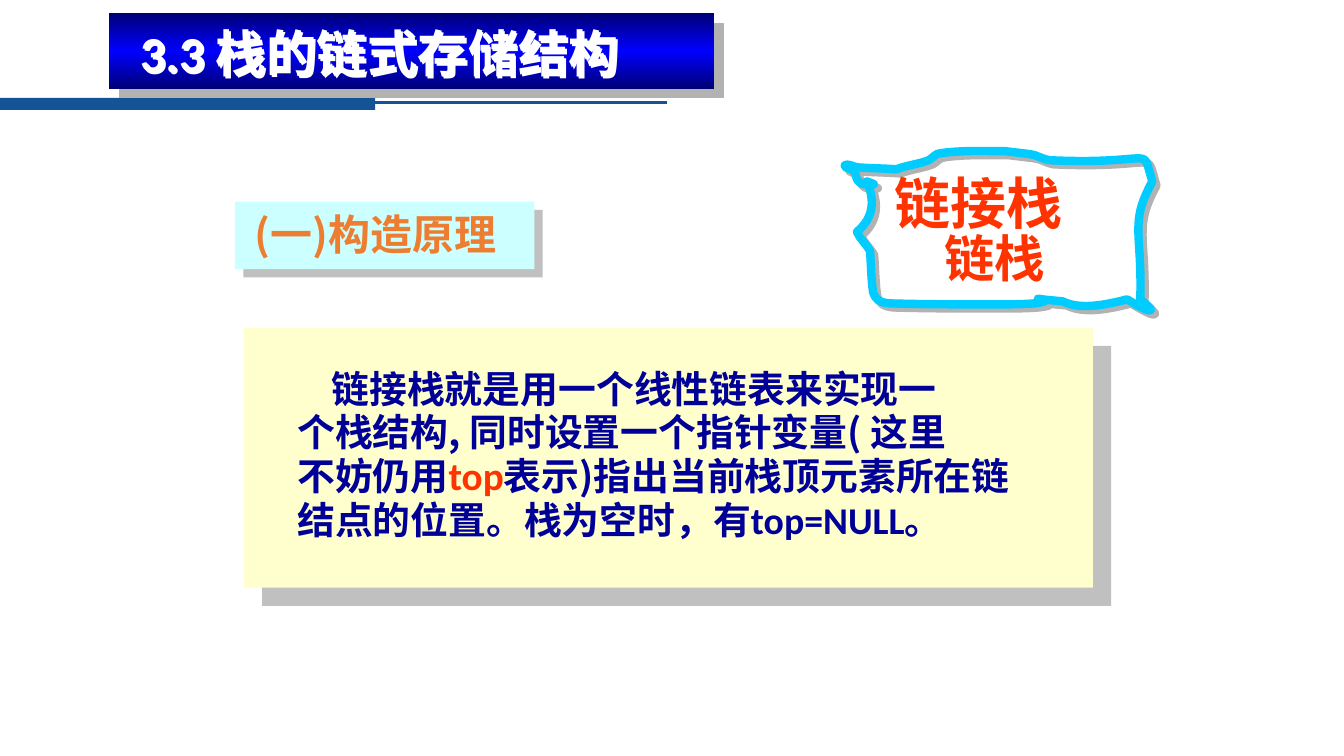
import copy
from dataclasses import dataclass

import pptx
import pptx.dml.color
import pptx.enum.shapes
import pptx.oxml
import pptx.oxml.ns
import pptx.util
from lxml import etree

Inches = pptx.util.Inches
Pt = pptx.util.Pt
qn = pptx.oxml.ns.qn


@dataclass(frozen=True)
class Theme:
    latin: str = "Calibri"
    cjk: str = "Noto Sans CJK SC"
    rule: str = "145396"
    navy: str = "000076"
    blue: str = "0000FF"
    white: str = "FFFFFF"
    aqua: str = "CCFFFF"
    cream: str = "FFFFCD"
    orange: str = "ED7D31"
    red: str = "FF3300"
    ink: str = "000099"
    cyan: str = "00CCFF"
    grey: str = "C0C0C0"
    dark_grey: str = "B2B2B2"
    body: int = 27
    keyword: int = 28
    section: int = 30
    title: int = 36
    label: int = 40


T = Theme()
SCROLL_START = (0.24, 0.38)
SCROLL_CURVES = [
    (0.31, 0.55, 0.32, 0.73, 0.14, 0.88),
    (0.17, 0.95, 0.23, 1.0, 0.27, 1.07),
    (0.28, 1.21, 0.28, 1.34, 0.3, 1.48),
    (0.32, 1.54, 0.35, 1.58, 0.46, 1.59),
    (0.81, 1.6, 1.16, 1.6, 1.51, 1.6),
    (1.64, 1.6, 1.77, 1.6, 1.9, 1.59),
    (2.24, 1.55, 1.62, 1.52, 2.18, 1.57),
    (2.36, 1.66, 2.62, 1.6, 2.82, 1.55),
    (2.85, 1.57, 3.0, 1.66, 3.04, 1.66),
    (3.08, 1.66, 3.03, 1.62, 3.01, 1.6),
    (2.99, 1.58, 2.97, 1.57, 2.95, 1.55),
    (2.97, 0.87, 2.84, 0.8, 3.07, 0.38),
    (2.95, 0, 3.14, 0.22, 2.05, 0.17),
    (1.98, 0.16, 1.93, 0.12, 1.86, 0.11),
    (1.78, 0.1, 1.61, 0.08, 1.61, 0.08),
    (1.4, 0.08, 1.18, 0.07, 0.97, 0.1),
    (0.92, 0.1, 0.89, 0.15, 0.85, 0.17),
    (0.75, 0.21, 0.63, 0.22, 0.53, 0.26),
    (0.4, 0.25, 0.27, 0.25, 0.14, 0.24),
    (0.1, 0.23, 0.04, 0.2, 0.02, 0.22),
    (0, 0.24, 0.08, 0.26, 0.11, 0.27),
    (0.14, 0.31, 0.12, 0.37, 0.18, 0.4),
    (0.21, 0.41, 0.27, 0.42, 0.3, 0.41),
    (0.33, 0.41, 0.26, 0.39, 0.24, 0.38),
]


def rgb(color):
    return pptx.dml.color.RGBColor.from_string(color)


def add_shadow(sp, color, distance):
    sp.shadow.inherit = False
    effects = sp._element.spPr.find(qn("a:effectLst"))
    shadow = etree.SubElement(effects, qn("a:outerShdw"), dist=str(Pt(distance)),
                              dir="2700000", algn="ctr", rotWithShape="0")
    etree.SubElement(shadow, qn("a:srgbClr"), val=color)


def add_box(s, x, y, w, h, fill):
    sp = s.shapes.add_shape(pptx.enum.shapes.MSO_SHAPE.RECTANGLE,
                            Inches(x), Inches(y), Inches(w), Inches(h))
    sp.fill.solid()
    sp.fill.fore_color.rgb = rgb(fill)
    sp.line.fill.background()
    sp.shadow.inherit = False
    return sp


def add_text(s, x, y, w, h, text, size, color, font=T.latin, spacing=None, indent=0):
    sp = s.shapes.add_textbox(Inches(x), Inches(y), Inches(w), Inches(h))
    tf = sp.text_frame
    tf.word_wrap = True
    paragraphs = [[(text, {})]] if isinstance(text, str) else text
    for i, runs in enumerate(paragraphs):
        p = tf.paragraphs[0] if i == 0 else tf.add_paragraph()
        if spacing:
            p.line_spacing = spacing
        if indent and i == 0:
            p._p.get_or_add_pPr().set("indent", str(Inches(indent)))
        for content, style in runs:
            r = p.add_run()
            r.text = content
            r.font.name = style.get("font", font)
            r.font.size = Pt(style.get("size", size))
            r.font.bold = True
            r.font.color.rgb = rgb(style.get("color", color))
            etree.SubElement(r._r.get_or_add_rPr(), qn("a:ea"), typeface=T.cjk)
    return sp


def add_header_rule(s, x, y):
    add_box(s, x, y, 3.72, 0.12, T.rule)
    line = s.shapes.add_connector(pptx.enum.shapes.MSO_CONNECTOR.STRAIGHT,
                                  Inches(x + 3.68), Inches(y + 0.05),
                                  Inches(x + 6.62), Inches(y + 0.05))
    line.line.color.rgb = rgb(T.rule)
    line.line.width = Pt(2.25)
    etree.SubElement(line._element.spPr, qn("a:effectLst"))


def add_title(s, x, y, w, h):
    sp = add_box(s, x, y, w, h, T.blue)
    sp.fill.gradient()
    sp.fill.gradient_angle = 90
    stops = sp._element.spPr.find(qn("a:gradFill")).find(qn("a:gsLst"))
    stops.insert(1, copy.deepcopy(stops[0]))
    for stop, position, color in zip(sp.fill.gradient_stops, (0, 0.5, 1),
                                     (T.navy, T.blue, T.navy)):
        stop.position = position
        stop.color.rgb = rgb(color)
    add_shadow(sp, T.dark_grey, 9.9)
    heading = add_text(s, x + 0.09, y + 0.04, w - 0.3, 0.7, "3.3 栈的链式存储结构",
                       T.title, T.white, indent=0.12)
    add_shadow(heading, T.white, 2)


def add_section(s, x, y, w, h):
    add_shadow(add_box(s, x, y, w, h, T.aqua), T.grey, 8.5)
    add_text(s, x + 0.1, y + 0.02, w + 0.09, 0.61, "(一)构造原理",
             T.section, T.orange, font=T.cjk)


def add_curve(outline, tag, values):
    step = etree.SubElement(outline, qn(tag))
    for px, py in zip(values[::2], values[1::2]):
        etree.SubElement(step, qn("a:pt"), x=str(Inches(px)), y=str(Inches(py)))


def add_scroll(s, x, y, w, h):
    builder = s.shapes.build_freeform(Inches(x), Inches(y))
    builder.add_line_segments([(Inches(x + w), Inches(y + h))])
    sp = builder.convert_to_shape()
    outline = next(sp._element.iter(qn("a:path")))
    for step in list(outline):
        outline.remove(step)
    add_curve(outline, "a:moveTo", SCROLL_START)
    for values in SCROLL_CURVES:
        add_curve(outline, "a:cubicBezTo", values)
    etree.SubElement(outline, qn("a:close"))
    sp.fill.background()
    sp.line.color.rgb = rgb(T.cyan)
    sp.line.width = Pt(6)
    add_shadow(sp, T.dark_grey, 4.2)
    add_text(s, x + 0.41, y + 0.2, w - 0.44, 0.77, "链接栈", T.label, T.red)
    add_text(s, x + 0.91, y + 0.78, 1.42, 0.7, "链栈", T.title, T.red)


def add_definition(s, x, y, w, h):
    add_shadow(add_box(s, x, y, w, h, T.cream), T.grey, 18.4)
    latin = {"font": T.latin, "size": T.keyword}
    lines = [
        [("链接栈就是用一个线性链表来实现一", {})],
        [("个栈结构, 同时设置一个指针变量( 这里", {})],
        [("不妨仍用", {}), ("top", {**latin, "color": T.red}),
         ("表示)指出当前栈顶元素所在链", {})],
        [("结点的位置。栈为空时，有", {}), ("top=NULL", {"font": T.latin}), ("。", {})],
    ]
    add_text(s, x + 0.43, y + 0.36, w - 0.34, 1.83, lines, T.body, T.ink,
             font=T.cjk, spacing=0.95, indent=0.34)


def main():
    prs = pptx.Presentation()
    prs.slide_width, prs.slide_height = Inches(13.33), Inches(7.5)
    s = prs.slides.add_slide(prs.slide_layouts[6])
    add_header_rule(s, 0, 0.97)
    add_definition(s, 2.42, 3.25, 8.42, 2.58)
    add_title(s, 1.08, 0.13, 6, 0.75)
    add_section(s, 2.33, 2, 2.97, 0.67)
    add_scroll(s, 8.36, 1.42, 3.14, 1.67)
    prs.save("out.pptx")


if __name__ == "__main__":
    main()
